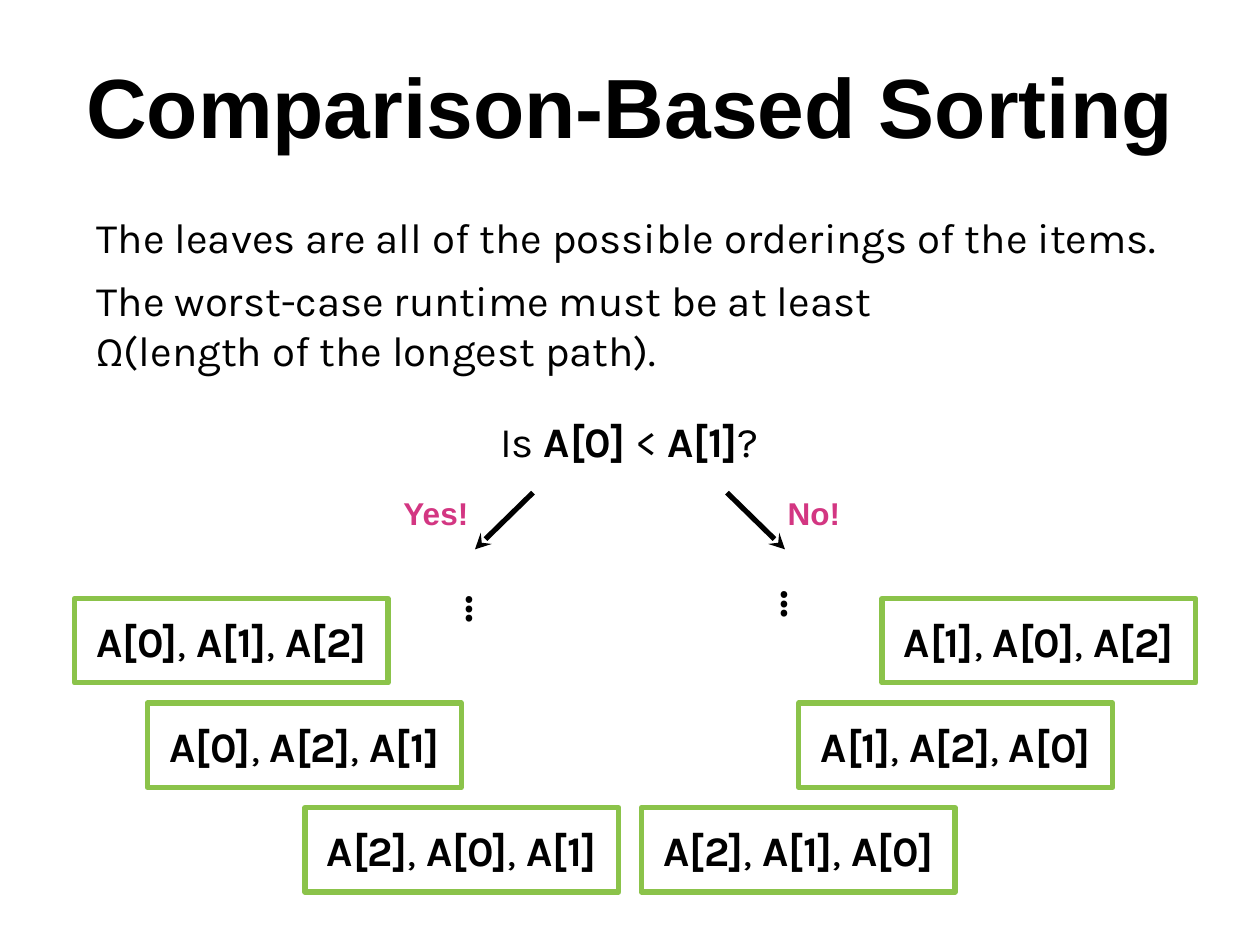
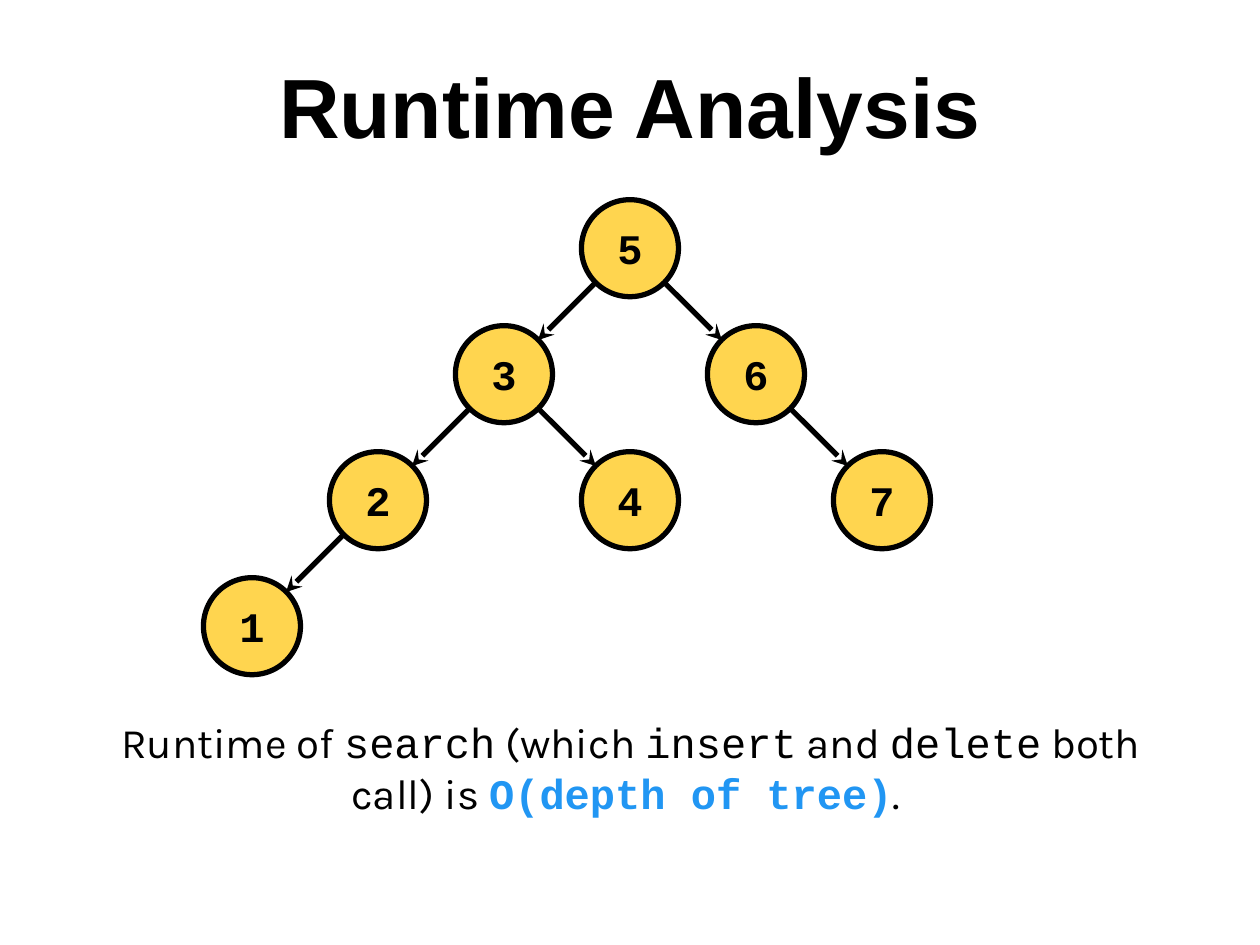
"""Build two slides on comparison sorting and search tree runtime."""
from lxml import etree
from pptx import Presentation
from pptx.dml.color import RGBColor
from pptx.enum.shapes import MSO_CONNECTOR, MSO_SHAPE
from pptx.enum.text import MSO_ANCHOR, PP_ALIGN
from pptx.oxml.ns import qn
from pptx.util import Inches, Pt

RECT, OVAL = MSO_SHAPE.RECTANGLE, MSO_SHAPE.OVAL
STRAIGHT = MSO_CONNECTOR.STRAIGHT
TOP, MIDDLE = MSO_ANCHOR.TOP, MSO_ANCHOR.MIDDLE
LEFT, CENTER = PP_ALIGN.LEFT, PP_ALIGN.CENTER

BLACK = RGBColor(0x00, 0x00, 0x00)
PINK = RGBColor(0xD3, 0x36, 0x82)
GREEN = RGBColor(0x8B, 0xC3, 0x4A)
GOLD = RGBColor(0xFF, 0xD5, 0x4F)
BLUE = RGBColor(0x21, 0x96, 0xF3)

BODY = {"name": "Karla", "size": Pt(24), "bold": False, "color": BLACK}
BOLD = {**BODY, "bold": True}
TITLE = {**BOLD, "name": "Arial", "size": Pt(48)}
LABEL = {**TITLE, "size": Pt(18), "color": PINK}
CODE = {**BODY, "name": "Courier New"}
KEY = {**CODE, "bold": True}
COST = {**KEY, "color": BLUE}

TITLE_BOX = (0, 0.33, 10, 1.25)
CELL = (2.49, 0.67)
EDGE = 3

CLAIMS = [
    [("The leaves are all of the possible orderings of the items.", BODY)],
    [("The worst-case runtime must be at least", BODY)],
    [("Ω(length of the longest path).", BODY)],
]
TEST = [("Is ", BODY), ("A[0]", BOLD), (" < ", BODY), ("A[1]", BOLD), ("?", BODY)]
BRANCHES = [
    ("Yes!", 2.81, (4.23, 3.91), (3.77, 4.36)),
    ("No!", 5.81, (5.77, 3.91), (6.23, 4.36)),
]
DOTS = [("…", 2.59), ("… ", 5.09)]
LEAVES = [
    (0.59, 0, "012"), (1.17, 1, "021"), (2.42, 2, "201"),
    (5.09, 2, "210"), (6.34, 1, "120"), (7.0, 0, "102"),
]
LEAF_TOP, LEAF_STEP = 4.75, 0.83

NODES = {
    "5": (0, 0), "3": (-1, 1), "6": (1, 1), "2": (-2, 2),
    "4": (0, 2), "7": (2, 2), "1": (-3, 3),
}
LINKS = ["53", "32", "21", "56", "34", "67"]
ROOT, NODE, RIM = (5.0, 1.97), 0.77, 0.27
RESULT = [
    ("Runtime of ", BODY), ("search", CODE), (" (which ", BODY),
    ("insert", CODE), (" and ", BODY), ("delete", CODE),
    (" both call) is ", BODY), ("O(depth of tree)", COST), (". ", BODY),
]


def write(shape, paras, align=CENTER, anchor=MIDDLE):
    frame = shape.text_frame
    layout = {"word_wrap": True, "vertical_anchor": anchor}
    layout.update({f"margin_{side}": Inches(0.1)
                   for side in ("left", "right", "top", "bottom")})
    for name, value in layout.items():
        setattr(frame, name, value)
    for i, runs in enumerate(paras):
        para = frame.add_paragraph() if i else frame.paragraphs[0]
        para.alignment = align
        for text, style in runs:
            run = para.add_run()
            run.text = text
            for name, value in style.items():
                if name == "color":
                    run.font.color.rgb = value
                else:
                    setattr(run.font, name, value)


def add_text(slide, box, paras, align=CENTER, anchor=MIDDLE):
    shape = slide.shapes.add_textbox(*map(Inches, box))
    write(shape, paras, align, anchor)
    return shape


def add_box(slide, kind, box, runs, line, fill=None):
    shape = slide.shapes.add_shape(kind, *map(Inches, box))
    shape.shadow.inherit = False
    if fill is None:
        shape.fill.background()
    else:
        shape.fill.solid()
        shape.fill.fore_color.rgb = fill
    shape.line.color.rgb = line
    shape.line.width = Pt(EDGE)
    write(shape, [runs])


def add_arrow(slide, start, end):
    arrow = slide.shapes.add_connector(STRAIGHT, *map(Inches, start + end))
    arrow.line.color.rgb = BLACK
    arrow.line.width = Pt(EDGE)
    etree.SubElement(arrow.line._get_or_add_ln(), qn("a:tailEnd"), type="stealth")
    etree.SubElement(arrow._element.spPr, qn("a:effectLst"))


def add_slide(deck, title):
    slide = deck.slides.add_slide(deck.slide_layouts[6])
    add_text(slide, TITLE_BOX, [[(title, TITLE)]], anchor=TOP)
    return slide


def sort_slide(deck):
    slide = add_slide(deck, "Comparison-Based Sorting")
    body = add_text(slide, (0.67, 1.58, 8.67, 1.6), CLAIMS, LEFT, TOP)
    body.text_frame.paragraphs[0].space_after = Pt(7)
    add_text(slide, (3.75, 3.16, *CELL), [TEST])
    for text, left, start, end in BRANCHES:
        add_arrow(slide, start, end)
        add_text(slide, (left, 3.78, 1.3, 0.58), [[(text, LABEL)]])
    for text, left in DOTS:
        dots = add_text(slide, (left, 4.5, *CELL), [[(text, BOLD)]])
        dots.rotation = 90
    for left, row, order in LEAVES:
        runs = []
        for digit in order:
            runs += [(f"A[{digit}]", BOLD), (", ", BODY)]
        box = (left, LEAF_TOP + row * LEAF_STEP, *CELL)
        add_box(slide, RECT, box, runs[:-1], GREEN)


def tree_slide(deck):
    slide = add_slide(deck, "Runtime Analysis")
    add_text(slide, (0.67, 5.59, 8.67, 1.1), [RESULT], anchor=TOP)
    spots = {key: (ROOT[0] + col, ROOT[1] + row)
             for key, (col, row) in NODES.items()}
    for key, (x, y) in spots.items():
        box = (x - NODE / 2, y - NODE / 2, NODE, NODE)
        add_box(slide, OVAL, box, [(key, KEY)], BLACK, GOLD)
    for top, low in LINKS:
        (x, y), (u, v) = spots[top], spots[low]
        side = RIM if u > x else -RIM
        add_arrow(slide, (x + side, y + RIM), (u - side, v - RIM))


def main():
    deck = Presentation()
    deck.slide_width, deck.slide_height = Inches(10), Inches(7.5)
    sort_slide(deck)
    tree_slide(deck)
    deck.save("out.pptx")


if __name__ == "__main__":
    main()
